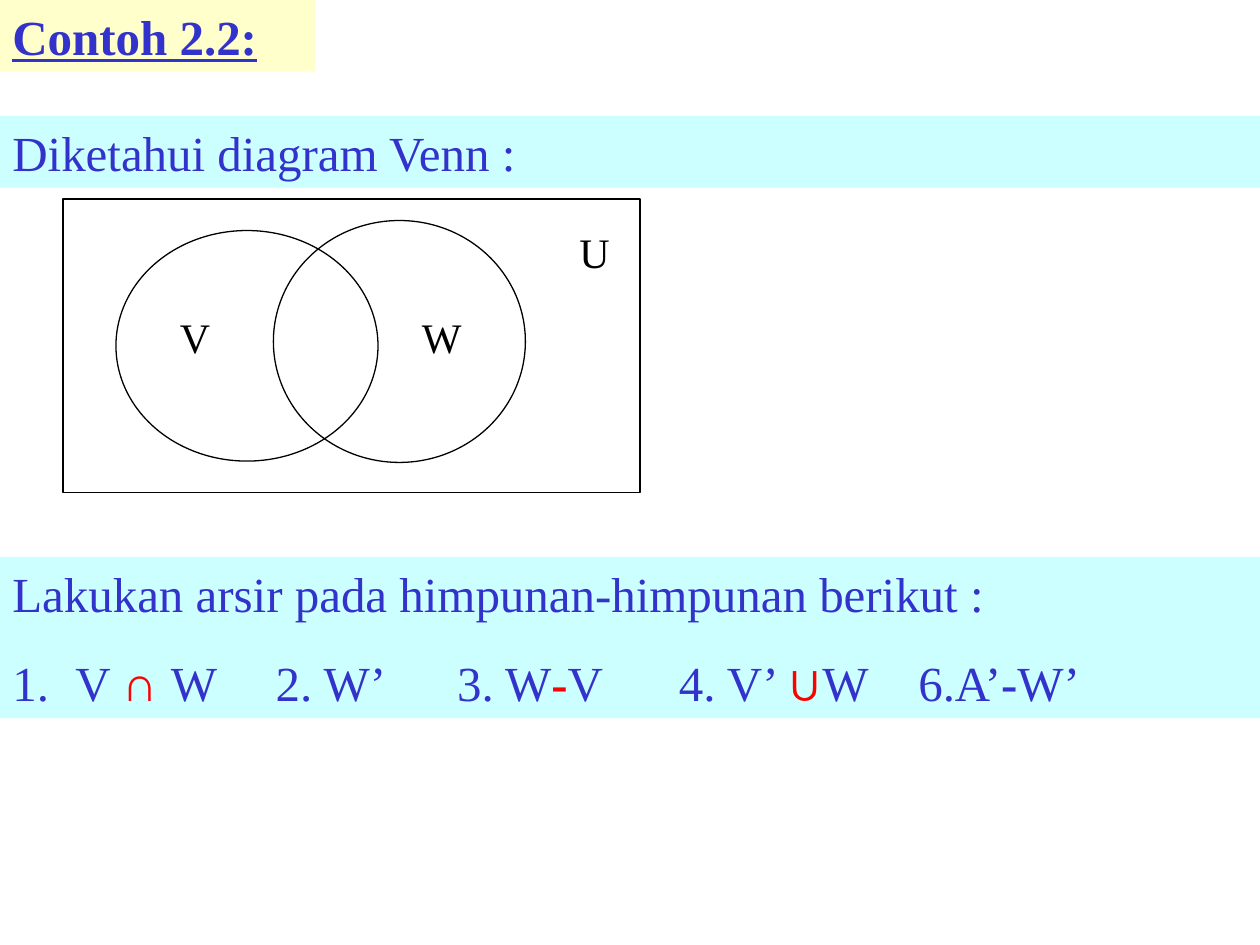
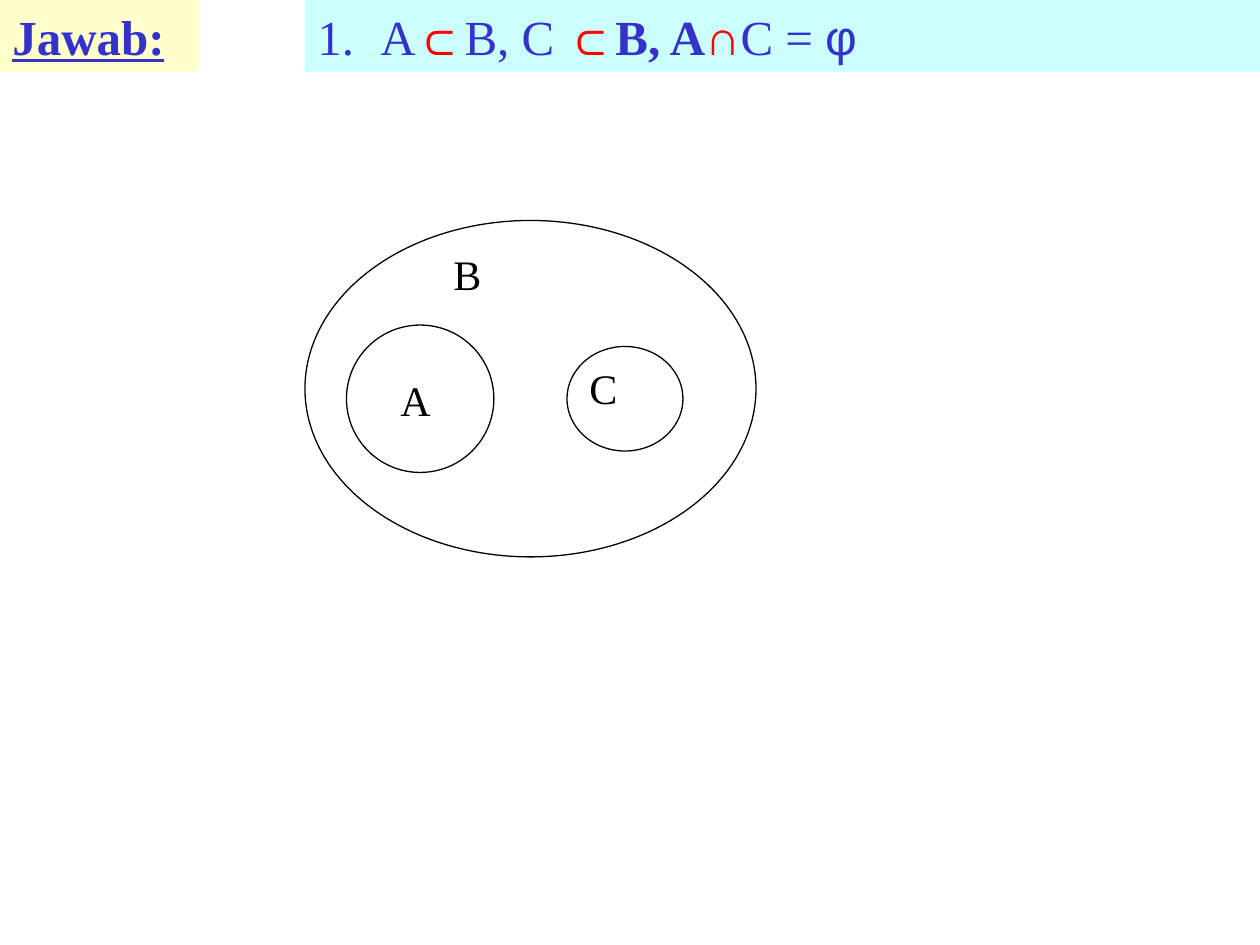
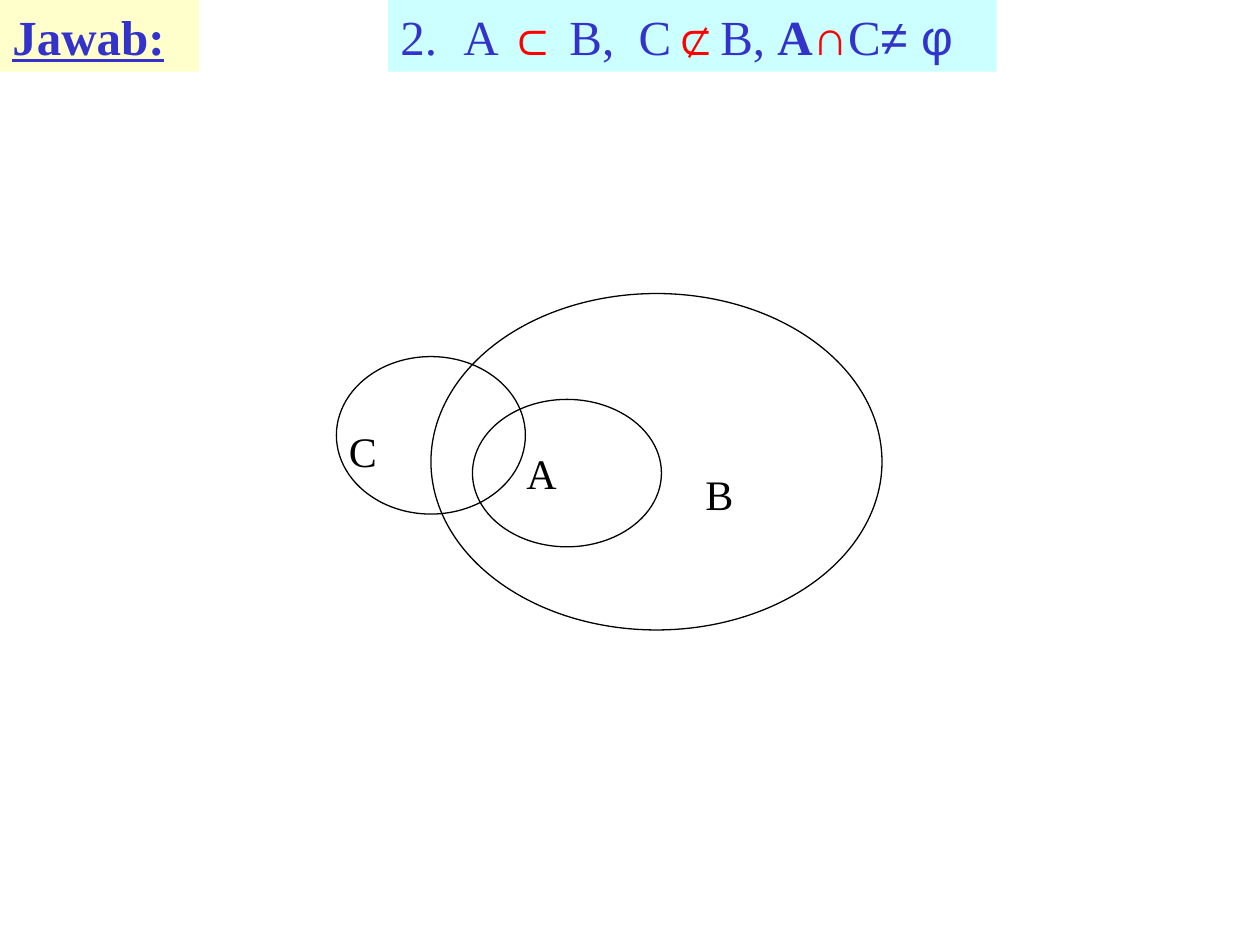
from lxml.etree import SubElement
from pptx import Presentation
from pptx.dml.color import RGBColor
from pptx.enum.shapes import MSO_SHAPE
from pptx.enum.text import MSO_ANCHOR, MSO_AUTO_SIZE, PP_ALIGN
from pptx.oxml.ns import qn
from pptx.util import Inches, Pt

COLORS = {"title": "FFFFCC", "band": "CCFFFF", "text": "3333CC",
          "sign": "FF0000", "ink": "000000"}
SERIF, SANS = "Times New Roman", "Arial"
BAND_H = 0.57
LABEL_H = 0.5

# Run styles: font, colour, bold, underline
STYLES = {
    "plain": (SERIF, "text", False, False),
    "bold": (SERIF, "text", True, False),
    "title": (SERIF, "text", True, True),
    "set": (SANS, "sign", True, False),
    "minus": (SERIF, "sign", True, False),
    "greek": (SANS, "text", False, False),
    "label": (SERIF, "ink", False, False),
}


def rgb(name):
    return RGBColor.from_string(COLORS[name])


def style(run, name, size):
    face, color, bold, line = STYLES[name]
    font = run.font
    font.name, font.size = face, Pt(size)
    font.bold, font.underline = bold, line
    font.color.rgb = rgb(color)


def fill_para(para, runs, size=28):
    """Write (text, style) pairs into a paragraph."""
    para.alignment = PP_ALIGN.LEFT
    para.space_before = Pt(size * 0.625)
    for text, name in runs:
        run = para.add_run()
        run.text = text
        style(run, name, size)


def number(para, start=1, stops=()):
    """Number a paragraph with a hanging indent and optional tab stops."""
    props = para._p.get_or_add_pPr()
    props.set("marL", str(Inches(0.5)))
    props.set("indent", str(Inches(-0.5)))
    color = SubElement(props, qn("a:buClr"))
    SubElement(color, qn("a:srgbClr"), val=COLORS["text"])
    SubElement(props, qn("a:buAutoNum"), type="arabicPeriod", startAt=str(start))
    if stops:
        tabs = SubElement(props, qn("a:tabLst"))
        for stop in stops:
            SubElement(tabs, qn("a:tab"), pos=str(Inches(stop)), algn="l")


def add_outline(shapes, kind, *box):
    shape = shapes.add_shape(kind, *map(Inches, box))
    shape.shadow.inherit = False
    shape.fill.background()
    shape.line.color.rgb = rgb("ink")
    shape.line.width = Pt(0.75)


def add_oval(shapes, *box):
    add_outline(shapes, MSO_SHAPE.OVAL, *box)


def add_band(slide, color, left, top, width, runs, height=BAND_H):
    """Add a filled strip of text and return its text frame."""
    band = slide.shapes.add_shape(
        MSO_SHAPE.RECTANGLE, *map(Inches, (left, top, width, height)))
    band.shadow.inherit = False
    band.fill.solid()
    band.fill.fore_color.rgb = rgb(color)
    band.line.fill.background()
    frame = band.text_frame
    frame.word_wrap = True
    frame.auto_size = MSO_AUTO_SIZE.SHAPE_TO_FIT_TEXT
    frame.vertical_anchor = MSO_ANCHOR.TOP
    fill_para(frame.paragraphs[0], runs)
    return frame


def add_title(slide, text, width):
    add_band(slide, "title", 0, 0, width, [(text, "title")])


def add_label(shapes, text, left, top, width=0.58):
    box = shapes.add_textbox(*map(Inches, (left, top, width, LABEL_H)))
    frame = box.text_frame
    frame.word_wrap = True
    frame.auto_size = MSO_AUTO_SIZE.SHAPE_TO_FIT_TEXT
    fill_para(frame.paragraphs[0], [(text, "label")], 24)


def add_sets(slide, outer, labels, inner):
    """Group an outer oval, its letters and the ovals drawn over it."""
    shapes = slide.shapes.add_group_shape().shapes
    add_oval(shapes, *outer)
    for label in labels:
        add_label(shapes, *label)
    for oval in inner:
        add_oval(shapes, *oval)


def add_answer(slide, start, left, width, runs):
    add_title(slide, "Jawab:", 1.58)
    frame = add_band(slide, "band", left, 0, width, runs)
    number(frame.paragraphs[0], start)


def draw_task(slide):
    add_title(slide, "Contoh 2.2:", 2.5)
    add_band(slide, "band", 0, 0.92, 10, [("Diketahui diagram Venn :", "plain")])
    frame = add_band(
        slide, "band", 0, 4.42, 10,
        [("Lakukan arsir pada himpunan-himpunan berikut :", "plain")], 1.28)
    para = frame.add_paragraph()
    fill_para(para, [
        ("V ", "plain"), ("∩ ", "set"), ("W\t2. W’\t3. W", "plain"),
        ("-", "minus"), ("V\t4. V’ ", "plain"), ("∪", "set"),
        ("W\t6.A’", "plain"), ("-", "bold"), ("W’", "plain")])
    number(para, stops=(2.09, 3.53, 5.29, 7.19))

    shapes = slide.shapes
    add_oval(shapes, 0.92, 1.83, 2.08, 1.83)
    add_oval(shapes, 2.17, 1.75, 2, 1.92)
    add_label(shapes, "V", 1.33, 2.42)
    add_label(shapes, "W", 3.25, 2.42, 0.5)
    add_outline(shapes, MSO_SHAPE.RECTANGLE, 0.5, 1.58, 4.58, 2.33)
    add_label(shapes, "U", 4.5, 1.75)


def draw_first(slide):
    add_answer(slide, 1, 2.42, 7.58, [
        ("A", "plain"), ("⊂", "set"), ("B, C ", "plain"), ("⊂", "set"),
        ("B, A", "bold"), ("∩", "set"), ("C = ", "plain"), ("φ", "greek")])
    add_sets(slide, (2.42, 1.75, 3.58, 2.67),
             [("C", 4.58, 2.83, 0.5), ("A", 3.08, 2.92), ("B", 3.5, 1.92)],
             [(2.75, 2.58, 1.17, 1.17), (4.5, 2.75, 0.92, 0.83)])


def draw_second(slide):
    add_answer(slide, 2, 3.08, 4.83, [
        ("A ", "plain"), ("⊂", "set"), (" B,  C", "plain"), ("⊄", "set"),
        ("B, ", "plain"), ("A", "bold"), ("∩", "set"), ("C", "plain"),
        ("≠ φ", "greek")])
    add_sets(slide, (3.42, 2.33, 3.58, 2.67),
             [("C", 2.67, 3.33, 0.5), ("A", 4.08, 3.5), ("B", 5.5, 3.67)],
             [(3.75, 3.17, 1.5, 1.17), (2.67, 2.83, 1.5, 1.25)])


def main():
    deck = Presentation()
    deck.slide_width, deck.slide_height = Inches(10), Inches(7.5)
    for draw in (draw_task, draw_first, draw_second):
        draw(deck.slides.add_slide(deck.slide_layouts[6]))
    deck.save("out.pptx")


if __name__ == "__main__":
    main()
